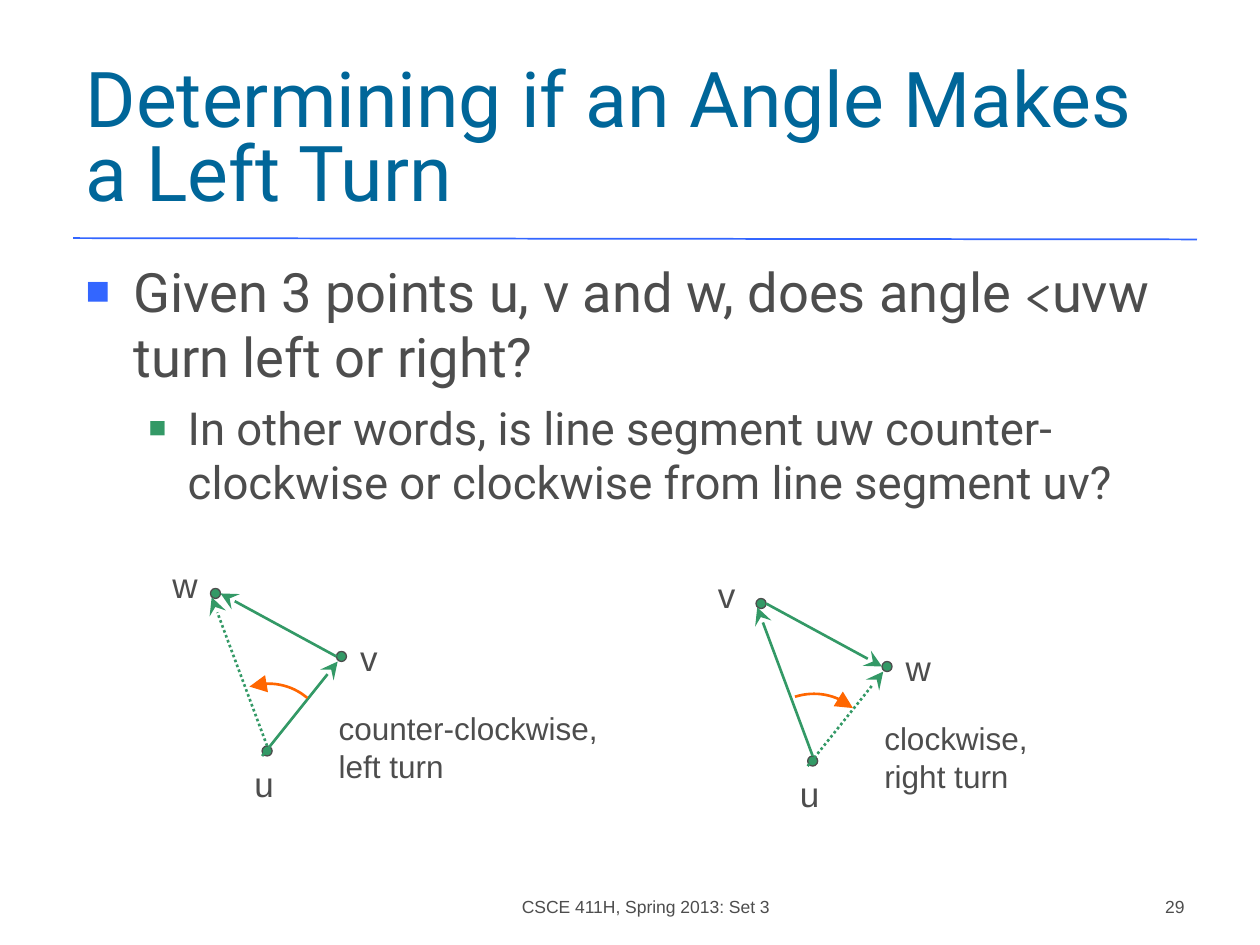
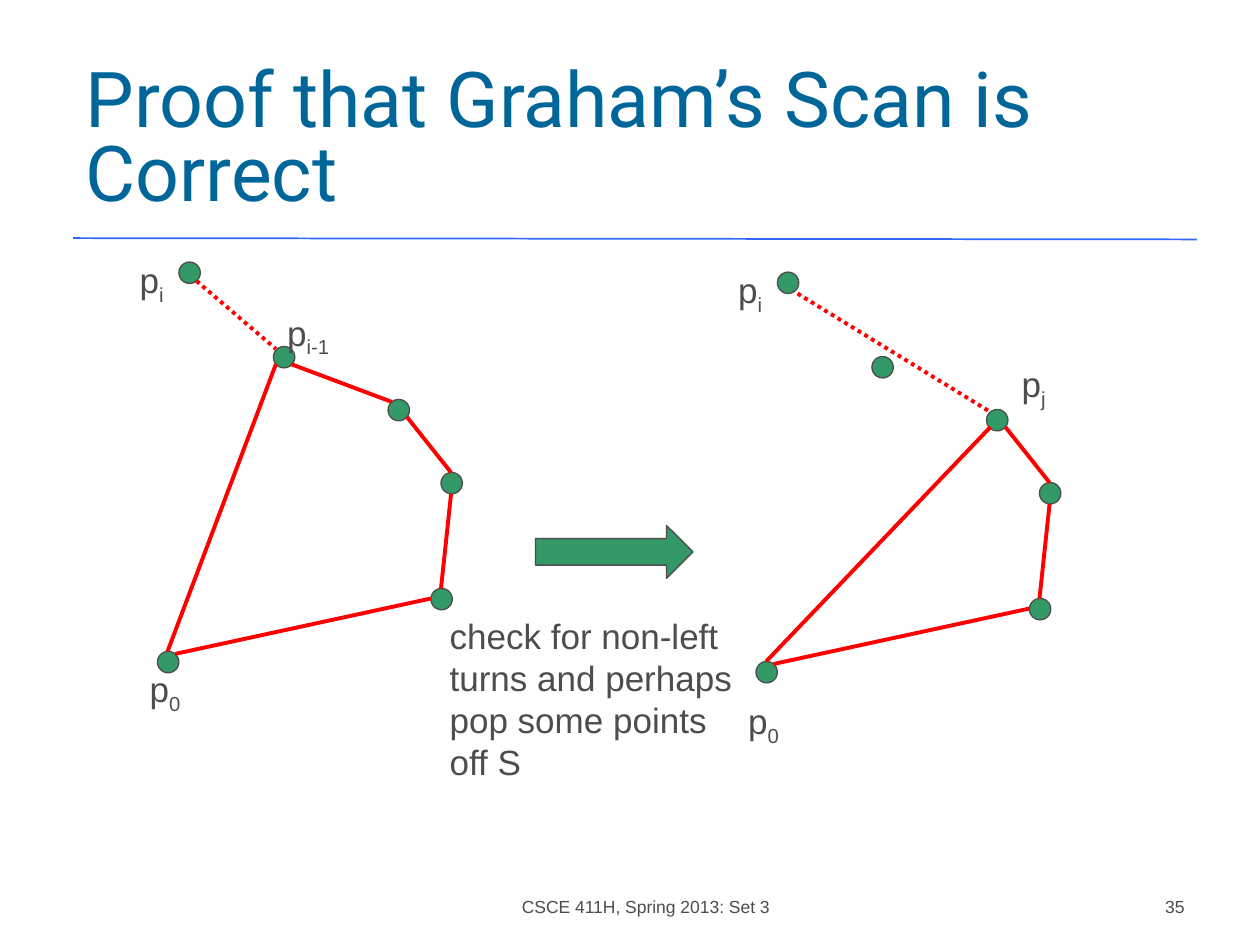
from lxml import etree
from pptx import Presentation
from pptx import util as u
from pptx.dml.color import RGBColor
from pptx.enum import dml, shapes, text
from pptx.oxml.ns import qn

W, H = 10, 7.5
LEFT, WIDTH = 0.58, 8.92
COLORS = dict(title="006699", ink="4D4D4D", rule="3366FF", green="339966",
              arc="FF6600", hull="FF0000")
FOOTER = "CSCE 411H, Spring 2013: Set 3"
BODY_FONT = "Arial"
HEAD_FONT = "Roboto"
TITLE_RULE = ((LEFT, 1.89), (LEFT + WIDTH, 1.9))
LABEL_SIZE = (0.7, 0.48)
NOTE_SIZE = (2.6, 0.7)

QUESTION = [
    dict(runs=["Given 3 points u, v and w, does angle ", ("<", "Comic Neue"),
               "uvw turn left or right?"],
         size=31, indent=0.38, hang=0.38, before=0, bullet="rule", scale=75),
    dict(runs=["In other words, is line segment uw counter- clockwise or "
               "clockwise from line segment uv?"],
         size=26, indent=0.81, hang=0.31, before=6.5, bullet="green", scale=65),
]

TURN_POINTS = dict(start=(2.08, 5.92), right=(2.67, 5.17), top=(1.67, 4.67))
TURN_LABELS = dict(start=(1.92, 6), right=(2.76, 5), top=(1.27, 4.42))
TURN_ARC = [(1.98, 5.45), (2.14, 5.4), (2.31, 5.43), (2.44, 5.54)]
TURN_NOTE = (2.59, 5.58)
TO_RIGHT = ((2.08, 6), (2.68, 5.25))
TO_TOP = ((2.12, 5.92), (1.68, 4.74))
RIGHT_TOP = ((2.67, 5.21), (1.75, 4.71))
TURNS = [
    dict(shift=(0, 0), names=dict(start="u", right="v", top="w"),
         solid=[TO_RIGHT, RIGHT_TOP], dotted=TO_TOP, arc_end="headEnd",
         note=["counter-clockwise,", "left turn"]),
    dict(shift=(4.33, 0.08), names=dict(start="u", right="w", top="v"),
         solid=[TO_TOP, RIGHT_TOP[::-1]], dotted=TO_RIGHT, arc_end="tailEnd",
         note=["clockwise,", "right turn"]),
]

HULL_POINTS = [(1.25, 5.17), (3.42, 4.67), (2.17, 2.75), (3.08, 3.17),
               (3.5, 3.75), (1.42, 2.08)]
SHARED_EDGES = [((1.39, 5.19), (3.42, 4.75)), ((3.5, 4.67), (3.58, 3.92)),
                ((3.58, 3.75), (3.23, 3.31))]
HULLS = [
    dict(shift=(0, 0), dotted=((1.56, 2.23), (2.19, 2.77)),
         edges=[((3.11, 3.19), (2.31, 2.89)), ((2.19, 2.89), (1.33, 5.17))]),
    dict(shift=(4.75, 0.08), dotted=((1.58, 2.25), (3.11, 3.19)),
         edges=[((3.11, 3.31), (1.33, 5.17))]),
]
HULL_LABELS = [("i-1", 2.18, 2.42), ("j", 8.01, 2.83), ("i", 1.01, 2),
               ("i", 5.76, 2.08), ("0", 1.09, 5.25), ("0", 5.84, 5.5)]
CHECK = ["check for non-left", "turns and perhaps", "pop some points", "off S"]


def rgb(name):
    return RGBColor.from_string(COLORS[name])


def inches(*values):
    return [u.Inches(v) for v in values]


def shifted(points, shift):
    return [(x + shift[0], y + shift[1]) for x, y in points]


def add_run(p, words, size, font=BODY_FONT, color="ink", baseline=None):
    r = p.add_run()
    r.text = words
    r.font.size, r.font.name = u.Pt(size), font
    r.font.color.rgb = rgb(color)
    if baseline:
        r._r.get_or_add_rPr().set("baseline", str(baseline))


def add_text(s, lines, box, size=20, align="LEFT", anchor="TOP", sub=None):
    tf = s.shapes.add_textbox(*inches(*box)).text_frame
    tf.word_wrap = True
    tf.auto_size = text.MSO_AUTO_SIZE.NONE
    tf.vertical_anchor = text.MSO_ANCHOR[anchor]
    for i, line in enumerate(lines):
        p = tf.add_paragraph() if i else tf.paragraphs[0]
        p.alignment = text.PP_ALIGN[align]
        add_run(p, line, size)
        if sub:
            add_run(p, sub, size, baseline=-25000)


def add_arrowhead(sp, end, kind):
    ln = sp.line._get_or_add_ln()
    etree.SubElement(ln, qn("a:" + end), type=kind, w="lg", len="lg")


def add_line(s, ends, color, width, dotted=False, arrow=False):
    (x1, y1), (x2, y2) = ends
    sp = s.shapes.add_connector(shapes.MSO_CONNECTOR.STRAIGHT, *inches(x1, y1, x2, y2))
    sp.line.color.rgb, sp.line.width = rgb(color), u.Pt(width)
    if dotted:
        sp.line.dash_style = dml.MSO_LINE.ROUND_DOT
    if arrow:
        add_arrowhead(sp, "tailEnd", "stealth")
    etree.SubElement(sp._element.spPr, qn("a:effectLst"))


def add_green(s, kind, box):
    sp = s.shapes.add_shape(shapes.MSO_SHAPE[kind], *inches(*box))
    sp.shadow.inherit = False
    sp.fill.solid()
    sp.fill.fore_color.rgb = rgb("green")
    sp.line.color.rgb, sp.line.width = rgb("ink"), u.Pt(0.75)


def add_arc(s, controls, end, steps=16):
    points = []
    for i in range(steps + 1):
        t = i / steps
        weights = ((1 - t) ** 3, 3 * t * (1 - t) ** 2, 3 * t * t * (1 - t), t ** 3)
        points.append(inches(*(sum(w * c[k] for w, c in zip(weights, controls))
                               for k in (0, 1))))
    builder = s.shapes.build_freeform(*points[0])
    builder.add_line_segments(points[1:], close=False)
    sp = builder.convert_to_shape()
    sp.shadow.inherit = False
    sp.fill.background()
    sp.line.color.rgb, sp.line.width = rgb("arc"), u.Pt(1.5)
    add_arrowhead(sp, end, "triangle")


def place(sp, *box):
    sp.left, sp.top, sp.width, sp.height = inches(*box)
    tf = sp.text_frame
    tf.word_wrap = True
    tf.auto_size = text.MSO_AUTO_SIZE.NONE
    return tf


def new_slide(prs, layout, title, number):
    s = prs.slides.add_slide(prs.slide_layouts[layout])
    tf = place(s.shapes.title, LEFT, 0.52, WIDTH, 1.25)
    tf.vertical_anchor = text.MSO_ANCHOR.BOTTOM
    p = tf.paragraphs[0]
    p.alignment, p.line_spacing, p.space_before = text.PP_ALIGN.LEFT, 0.8, u.Pt(0)
    add_run(p, title, 44, HEAD_FONT, "title")
    add_line(s, TITLE_RULE, "rule", 1)
    add_text(s, [FOOTER], (3.54, 6.83, 3.17, 0.5), 10, "CENTER", "BOTTOM")
    add_text(s, [str(number)], (7.42, 6.83, 2.08, 0.5), 10, "RIGHT", "BOTTOM")
    return s


def add_question(s):
    tf = place(s.placeholders[1], LEFT, 2, WIDTH, 4.42)
    for i, item in enumerate(QUESTION):
        p = tf.add_paragraph() if i else tf.paragraphs[0]
        p.level, p.space_before = i, u.Pt(item["before"])
        pPr = p._p.get_or_add_pPr()
        pPr.set("marL", str(u.Inches(item["indent"])))
        pPr.set("indent", str(-u.Inches(item["hang"])))
        clr = etree.SubElement(pPr, qn("a:buClr"))
        etree.SubElement(clr, qn("a:srgbClr"), val=COLORS[item["bullet"]])
        etree.SubElement(pPr, qn("a:buSzPct"), val=str(item["scale"] * 1000))
        etree.SubElement(pPr, qn("a:buFont"), typeface="Arial")
        etree.SubElement(pPr, qn("a:buChar"), char="■")
        for run in item["runs"]:
            words, font = (run, HEAD_FONT) if isinstance(run, str) else run
            add_run(p, words, item["size"], font)


def add_turn(s, turn):
    shift = turn["shift"]
    for x, y in shifted(TURN_POINTS.values(), shift):
        add_green(s, "OVAL", (x, y, 0.08, 0.08))
    for edge in turn["solid"] + [turn["dotted"]]:
        add_line(s, shifted(edge, shift), "green", 1.5, edge == turn["dotted"], True)
    for corner, name in turn["names"].items():
        [spot] = shifted([TURN_LABELS[corner]], shift)
        add_text(s, [name], spot + LABEL_SIZE)
    add_arc(s, shifted(TURN_ARC, shift), turn["arc_end"])
    [spot] = shifted([TURN_NOTE], shift)
    add_text(s, turn["note"], spot + NOTE_SIZE, 18)


def add_hull(s, hull):
    for x, y in shifted(HULL_POINTS, hull["shift"]):
        add_green(s, "OVAL", (x, y, 0.17, 0.17))
    for edge in SHARED_EDGES + hull["edges"]:
        add_line(s, shifted(edge, hull["shift"]), "hull", 2.25)
    add_line(s, shifted(hull["dotted"], hull["shift"]), "hull", 2.25, dotted=True)


def main():
    prs = Presentation()
    prs.slide_width, prs.slide_height = inches(W, H)

    s = new_slide(prs, 1, "Determining if an Angle Makes a Left Turn", 29)
    add_question(s)
    for turn in TURNS:
        add_turn(s, turn)

    s = new_slide(prs, 5, "Proof that Graham’s Scan is Correct", 35)
    for hull in HULLS:
        add_hull(s, hull)
    add_green(s, "RIGHT_ARROW", (4.25, 4.17, 1.25, 0.42))
    add_text(s, CHECK, (3.47, 4.83, 2.6, 1.44))
    for sub, x, y in HULL_LABELS:
        add_text(s, ["p"], (x, y) + LABEL_SIZE, sub=sub)

    prs.save("out.pptx")


if __name__ == "__main__":
    main()
